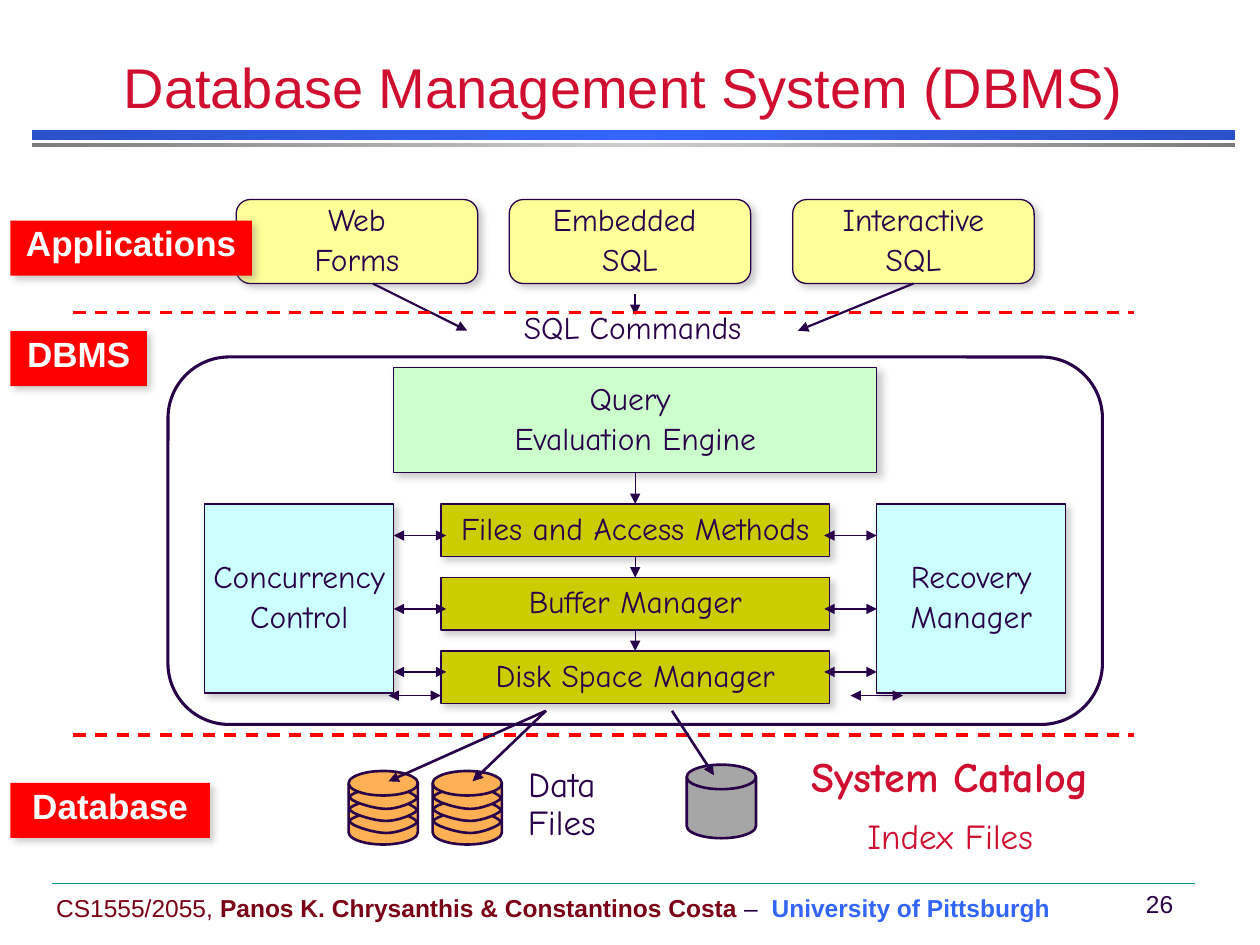
from copy import deepcopy

from lxml.etree import SubElement
from pptx import Presentation
from pptx.dml.color import RGBColor
from pptx.enum.dml import MSO_LINE
from pptx.enum.shapes import MSO_CONNECTOR, MSO_SHAPE as Shape
from pptx.enum.text import MSO_ANCHOR as Anchor, MSO_AUTO_SIZE, PP_ALIGN as Align
from pptx.oxml import parse_xml
from pptx.oxml.ns import nsdecls, qn
from pptx.util import Pt

INK = RGBColor(0x28, 0x00, 0x49)
CRIMSON = RGBColor(0xCF, 0x0E, 0x30)
MAROON = RGBColor(0x79, 0x00, 0x15)
BLUE = RGBColor(0x33, 0x65, 0xFB)
DARK_BLUE = RGBColor(0x29, 0x51, 0xC9)
GRAY = RGBColor(0x7C, 0x7C, 0x7C)
LIGHT_GRAY = RGBColor(0xCE, 0xCE, 0xCE)
TEAL = RGBColor(0x00, 0x96, 0x88)
RED = RGBColor(0xFF, 0x00, 0x00)
WHITE = RGBColor(0xFF, 0xFF, 0xFF)
YELLOW = RGBColor(0xFF, 0xFF, 0x99)
GREEN = RGBColor(0xCC, 0xFF, 0xCC)
OLIVE = RGBColor(0xCC, 0xCC, 0x00)
CYAN = RGBColor(0xCC, 0xFF, 0xFF)
ORANGE = RGBColor(0xFF, 0xB0, 0x54)
DISK_GRAY = RGBColor(0xA6, 0xA6, 0xA6)

# Ring around a disk, in points: a start, then three points per cubic curve
RING = [(6, 0),
        (2.4, 1.4), (-1.2, 2.9), (1.4, 4.3),
        (3.6, 6.5), (15, 10), (21.6, 10),
        (28, 10), (36.7, 6.5), (38.9, 4.3),
        (40.3, 2.9), (34.6, 0.7), (33.8, 0)]
SHADOW = (f'<a:effectLst {nsdecls("a")}><a:outerShdw blurRad="50800" dist="38100" '
          'dir="2700000" algn="tl" rotWithShape="0"><a:srgbClr val="808080">'
          '<a:alpha val="40000"/></a:srgbClr></a:outerShdw></a:effectLst>')


class DiagramPage:
    hand_font = "Comic Neue"
    plain_font = "Arial"

    def __init__(self, page):
        self.page = page
        self.shapes = page.shapes

    def add_span(self, para, text, size, color, bold=False, font=None):
        span = para.add_run()
        span.text = text
        span.font.name = font or self.hand_font
        span.font.size = Pt(size)
        span.font.bold = bold
        span.font.color.rgb = color

    def fill_text(self, frame, lines, align=Align.CENTER, anchor=Anchor.TOP,
                  gap=3.6, spacing=0.9, wrap=True):
        """Each line is a list of spans: (text, size, color, bold, font)."""
        frame.word_wrap = wrap
        frame.auto_size = MSO_AUTO_SIZE.NONE
        frame.vertical_anchor = anchor
        for index, spans in enumerate(lines):
            para = frame.add_paragraph() if index else frame.paragraphs[0]
            para.alignment = align
            para.line_spacing = spacing
            para.space_before = Pt(gap if index else 0)
            for span in spans:
                self.add_span(para, *span)

    def title(self, text):
        box = self.shapes.title
        box.left, box.top, box.width, box.height = Pt(0), Pt(30), Pt(713), Pt(42)
        self.fill_text(box.text_frame, [[(text, 32, CRIMSON, False, self.plain_font)]],
                       anchor=Anchor.BOTTOM, spacing=1.0)

    def text(self, left, top, width, height, lines, **style):
        box = self.shapes.add_textbox(Pt(left), Pt(top), Pt(width), Pt(height))
        self.fill_text(box.text_frame, lines, **style)

    def shape(self, kind, left, top, width, height, fill=None, line=INK,
              weight=0.75, shadow=False):
        box = self.shapes.add_shape(kind, Pt(left), Pt(top), Pt(width), Pt(height))
        self.paint(box, fill, line, weight)
        if shadow:
            properties = box._element.spPr
            properties.replace(properties.find(qn("a:effectLst")), parse_xml(SHADOW))
        return box

    def paint(self, box, fill, line, weight):
        box.shadow.inherit = False
        if fill is None:
            box.fill.background()
        else:
            box.fill.solid()
            box.fill.fore_color.rgb = fill
        if line is None:
            box.line.fill.background()
        else:
            box.line.color.rgb = line
            box.line.width = Pt(weight)

    def module(self, left, top, width, height, fill, *lines, kind=Shape.RECTANGLE):
        box = self.shape(kind, left, top, width, height, fill, shadow=True)
        self.fill_text(box.text_frame, [[(text, 18, INK)] for text in lines],
                       anchor=Anchor.MIDDLE, wrap=False)

    def layer_label(self, top, width, text):
        box = self.shape(Shape.RECTANGLE, 6, top, width, 31.5, RED, None, shadow=True)
        self.fill_text(box.text_frame, [[(text, 20, WHITE, True, self.plain_font)]])

    def gradient_bar(self, top, height, edge, middle):
        bar = self.shape(Shape.RECTANGLE, 18, top, 688, height, line=None)
        bar.fill.gradient()
        bar.fill.gradient_angle = 0
        stop_list = bar._element.spPr.find(".//" + qn("a:gsLst"))
        stop_list.append(deepcopy(stop_list[0]))
        for stop, color, position in zip(bar.fill.gradient_stops,
                                         (edge, middle, edge), (0, 0.5, 1)):
            stop.color.rgb = color
            stop.position = position

    def line(self, x1, y1, x2, y2, color=INK, weight=0.75, dash=None, ends=()):
        line = self.shapes.add_connector(MSO_CONNECTOR.STRAIGHT,
                                         Pt(x1), Pt(y1), Pt(x2), Pt(y2))
        line.line.color.rgb = color
        line.line.width = Pt(weight)
        if dash:
            line.line.dash_style = dash
        outline = line.line._get_or_add_ln()
        for end in ends:
            SubElement(outline, qn(f"a:{end}"), type="triangle")
        SubElement(line._element.spPr, qn("a:effectLst"))

    def arrow(self, x1, y1, x2, y2, weight=0.75):
        self.line(x1, y1, x2, y2, weight=weight, ends=("tailEnd",))

    def double_arrow(self, left, y):
        self.line(left, y, left + 30, y, ends=("headEnd", "tailEnd"))

    def ring(self, left, top):
        points = [(Pt(left + x), Pt(top + y)) for x, y in RING]
        builder = self.shapes.build_freeform(*points[0])
        builder.add_line_segments(points[1:], close=False)
        ring = builder.convert_to_shape()
        self.paint(ring, None, INK, 1.5)
        # Turn every three straight segments into one cubic curve
        outline = ring._element.spPr.find(".//" + qn("a:path"))
        segments = outline.findall(qn("a:lnTo"))
        for first in range(0, len(segments), 3):
            curve = SubElement(outline, qn("a:cubicBezTo"))
            for segment in segments[first:first + 3]:
                curve.append(segment[0])
                outline.remove(segment)

    def disk(self, left, top, fill, rings=0):
        self.shape(Shape.FLOWCHART_MAGNETIC_DISK, left, top, 39.6, 42, fill, weight=1.5)
        for index in range(rings):
            self.ring(left, top + 11.6 + index * 6.9)


def main():
    deck = Presentation()
    deck.slide_width, deck.slide_height = Pt(720), Pt(540)
    diagram = DiagramPage(deck.slides.add_slide(deck.slide_layouts[5]))
    arial = diagram.plain_font

    # Title, header bars and footer
    diagram.title("Database Management System (DBMS)")
    diagram.gradient_bar(74.2, 5.8, DARK_BLUE, BLUE)
    diagram.gradient_bar(82, 2.2, GRAY, LIGHT_GRAY)
    diagram.text(25, 489.6, 584, 41, [[
        ("CS1555/2055, ", 14, MAROON, False, arial),
        ("Panos K. Chrysanthis & Constantinos Costa", 14, MAROON, True, arial),
        (" –  ", 14, INK, False, arial),
        ("University of Pittsburgh", 14, BLUE, True, arial),
    ]], align=Align.LEFT, anchor=Anchor.BOTTOM, spacing=1.0, wrap=False)
    diagram.text(643, 504.4, 35.3, 24, [[(" 26", 14, INK, False, arial)]],
                 anchor=Anchor.MIDDLE, spacing=1.0, wrap=False)
    diagram.line(30, 504.5, 683, 504.5, TEAL, 0.25)

    # DBMS frame and its modules
    diagram.shape(Shape.ROUNDED_RECTANGLE, 96, 204, 534, 210, WHITE, weight=1.75)
    diagram.module(225, 210, 276, 60, GREEN, "Query ", "Evaluation Engine")
    managers = ("Files and Access Methods", "Buffer Manager", "Disk Space Manager")
    for index, name in enumerate(managers):
        diagram.module(252, 288 + 42 * index, 222, 30, OLIVE, name)
    diagram.module(117, 288, 108, 108, CYAN, "Concurrency", "Control")
    diagram.module(501, 288, 108, 108, CYAN, "Recovery", "Manager")

    # Arrows between modules
    for start, end in ((270, 288), (318, 330), (360, 372)):
        diagram.arrow(363, start, 363, end)
    for left in (225, 471):
        for y in (306, 348, 384):
            diagram.double_arrow(left, y)
    for left in (222, 486):
        diagram.double_arrow(left, 397.5)

    # Applications and the SQL commands they send
    for left, lines in ((135, ("Web", "Forms")), (291, ("Embedded ", "SQL")),
                        (453, ("Interactive", "SQL"))):
        diagram.module(left, 114, 138, 48, YELLOW, *lines, kind=Shape.ROUNDED_RECTANGLE)
    diagram.text(267, 175, 189, 27, [[("SQL Commands", 18, INK)]])
    for ends in ((213, 162, 267, 189), (522, 162, 456, 189), (363, 168, 363, 180)):
        diagram.arrow(*ends, weight=1.25)

    # Layer borders and labels
    for y in (178.8, 420):
        diagram.line(42, y, 648, y, RED, 1.75, MSO_LINE.DASH)
    for top, width, name in ((126, 138, "Applications"), (189.2, 78, "DBMS"),
                             (447.4, 114, "Database")):
        diagram.layer_label(top, width, name)

    # Stored files
    diagram.text(276, 435, 90, 51, [[("Data Files", 20, INK)]])
    diagram.text(420, 428.5, 246, 68, [[("System Catalog", 24, CRIMSON, True)],
                                       [("Index Files", 20, CRIMSON)]], gap=10.3)
    for left in (247.2, 199.2):
        diagram.disk(left, 440.6, ORANGE, rings=3)
    diagram.disk(392.4, 437, DISK_GRAY)
    for ends in ((312, 406.2, 222, 446.5), (312, 406.2, 270, 446.5),
                 (384, 406.2, 408, 443)):
        diagram.arrow(*ends, weight=1.5)

    deck.save("out.pptx")


if __name__ == "__main__":
    main()
